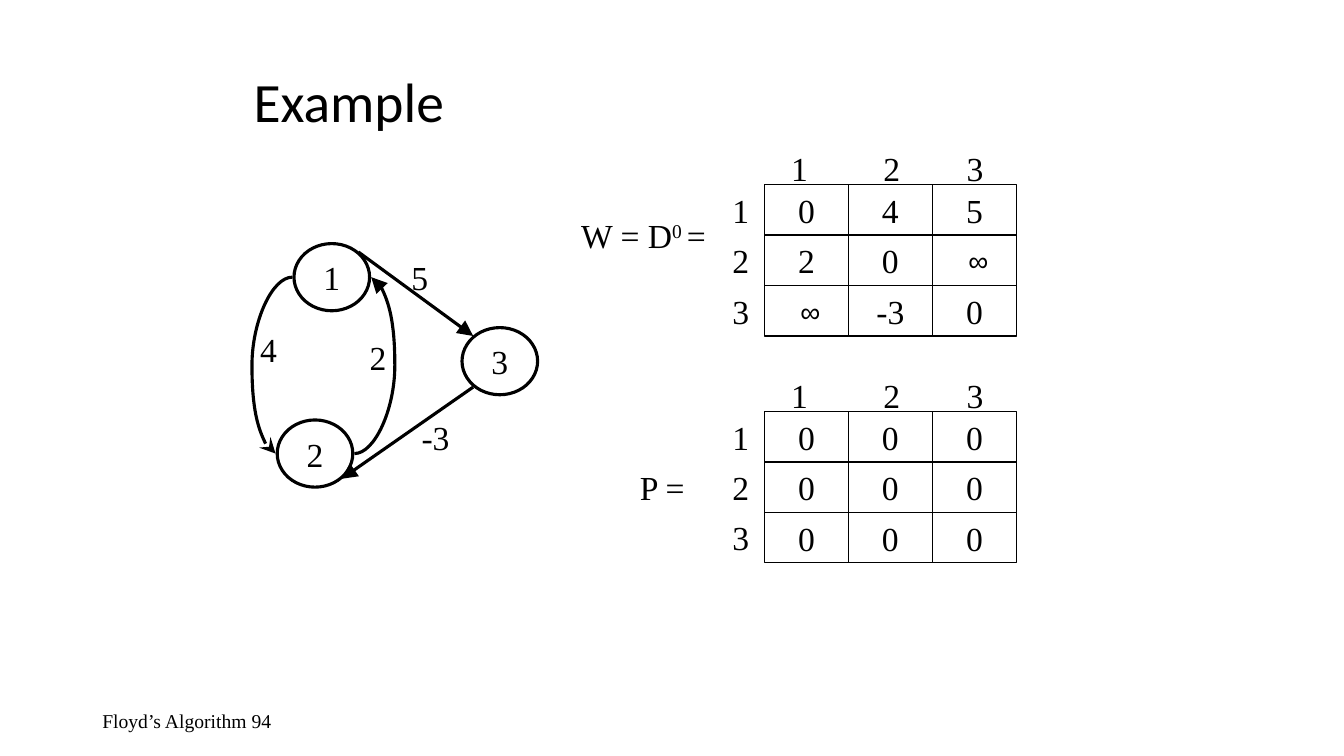
from dataclasses import dataclass

from lxml import etree
from pptx import Presentation
from pptx.dml.color import RGBColor
from pptx.enum.shapes import MSO_CONNECTOR, MSO_SHAPE
from pptx.enum.text import MSO_ANCHOR, MSO_AUTO_SIZE, PP_ALIGN
from pptx.oxml.ns import qn
from pptx.util import Pt

STRAIGHT, CURVE = MSO_CONNECTOR.STRAIGHT, MSO_CONNECTOR.CURVE
OVAL, RECTANGLE = MSO_SHAPE.OVAL, MSO_SHAPE.RECTANGLE
TOP, MIDDLE = MSO_ANCHOR.TOP, MSO_ANCHOR.MIDDLE
LEFT, CENTER = PP_ALIGN.LEFT, PP_ALIGN.CENTER
FIT_SHAPE, NO_FIT = MSO_AUTO_SIZE.SHAPE_TO_FIT_TEXT, MSO_AUTO_SIZE.NONE
BLACK = "000000"
SERIF, SANS, HEADING = "Times New Roman", "Arial", "Calibri"
INFINITY = " ∞"
CELL_W, CELL_H = 60, 36
MATRIX_LEFT = 546
COLUMN_LABEL_OFFSETS = (12, 78, 137.4)
DIGIT_W, LABEL_H = 26.6, 36
NODE_W, NODE_H = 54, 48


@dataclass
class Label:
    text: str
    left: float
    top: float
    width: float = DIGIT_W


@dataclass
class Matrix:
    top: float
    rows: list[list[str]]


@dataclass
class Node:
    text: str
    left: float
    top: float


@dataclass
class Edge:
    start: tuple[float, float]
    end: tuple[float, float]
    arrow_end: str = "tailEnd"
    arrow: str = "triangle"
    bend: int | None = None


def rgb(value: str) -> RGBColor:
    return RGBColor.from_string(value)


def set_attrs(target, values: dict) -> None:
    for name, value in values.items():
        setattr(target, name, value)


def write(p, text: str, size: float = 24, font: str = SERIF, align=LEFT):
    p.alignment = align
    r = p.add_run()
    r.text = text
    set_attrs(r.font, {"name": font, "size": Pt(size), "bold": False})
    r.font.color.rgb = rgb(BLACK)
    return r


def add_label(s, label: Label):
    sp = s.shapes.add_textbox(Pt(label.left), Pt(label.top), Pt(label.width), Pt(LABEL_H))
    set_attrs(sp.text_frame, {"word_wrap": False, "auto_size": FIT_SHAPE,
                              "vertical_anchor": TOP})
    write(sp.text_frame.paragraphs[0], label.text)
    return sp


def add_box(s, kind, text: str, left: float, top: float, width: float, height: float,
            line_width: float) -> None:
    sp = s.shapes.add_shape(kind, Pt(left), Pt(top), Pt(width), Pt(height))
    sp.shadow.inherit = False
    sp.fill.background()
    sp.line.color.rgb = rgb(BLACK)
    sp.line.width = Pt(line_width)
    set_attrs(sp.text_frame, {"word_wrap": False, "vertical_anchor": MIDDLE})
    size, font = (20, SANS) if text == INFINITY else (24, SERIF)
    write(sp.text_frame.paragraphs[0], text, size, font, CENTER)


def add_matrix(s, matrix: Matrix) -> None:
    for i, values in enumerate(matrix.rows):
        row_top = matrix.top + i * CELL_H
        for j, value in enumerate(values):
            add_box(s, RECTANGLE, value, MATRIX_LEFT + j * CELL_W, row_top,
                    CELL_W, CELL_H, 1)
        add_label(s, Label(str(i + 1), MATRIX_LEFT - 30, row_top))
    for j, offset in enumerate(COLUMN_LABEL_OFFSETS):
        add_label(s, Label(str(j + 1), MATRIX_LEFT + offset, matrix.top - 30))


def add_edge(s, edge: Edge) -> None:
    kind = STRAIGHT if edge.bend is None else CURVE
    points = [Pt(v) for v in (*edge.start, *edge.end)]
    line = s.shapes.add_connector(kind, *points)
    line.line.color.rgb = rgb(BLACK)
    line.line.width = Pt(2.25)
    sp_pr = line.element.spPr
    etree.SubElement(sp_pr.find(qn("a:ln")), qn(f"a:{edge.arrow_end}"),
                     type=edge.arrow, w="lg", len="lg")
    etree.SubElement(sp_pr, qn("a:effectLst"))
    if edge.bend is not None:
        guides = sp_pr.find(qn("a:prstGeom")).get_or_add_avLst()
        etree.SubElement(guides, qn("a:gd"), name="adj1", fmla=f"val {edge.bend}")


def add_title(s, text: str) -> None:
    title = s.shapes.title
    set_attrs(title, {"left": Pt(174), "top": Pt(48), "width": Pt(612), "height": Pt(54)})
    set_attrs(title.text_frame, {"vertical_anchor": MIDDLE, "auto_size": NO_FIT,
                                 "word_wrap": True})
    p = title.text_frame.paragraphs[0]
    p.line_spacing = 0.9
    write(p, text, 39.6, HEADING)


def add_footer(s, text: str) -> None:
    sp = s.shapes.add_textbox(Pt(66), Pt(500.4), Pt(216), Pt(28.8))
    set_attrs(sp.text_frame, {"word_wrap": True, "vertical_anchor": MIDDLE})
    write(sp.text_frame.paragraphs[0], text, 14)


MATRICES = [
    Matrix(132, [["0", "4", "5"], ["2", "0", INFINITY], [INFINITY, "-3", "0"]]),
    Matrix(294, [["0"] * 3 for _ in range(3)]),
]
NODES = [Node("1", 210, 174), Node("2", 198, 300), Node("3", 330, 234)]
EDGES = [
    Edge((256, 180), (338, 240)),
    Edge((338, 276.5), (244, 342)),
    Edge((196.8, 324), (208.8, 198), "headEnd", "stealth", -140600),
    Edge((253.2, 324), (265.2, 198), bend=240600),
]
LABELS = [
    Label("P =", 450, 330, 47.5),
    Label("5", 286.8, 180),
    Label("-3", 294, 294, 34.6),
    Label("2", 257, 237.2),
    Label("4", 178.8, 231.4),
]

prs = Presentation()
prs.slide_width, prs.slide_height = Pt(960), Pt(540)
s = prs.slides.add_slide(prs.slide_layouts[5])

add_title(s, "Example")
add_footer(s, "Floyd’s Algorithm 94")
distance_label = add_label(s, Label("W = D", 408, 150, 106))
p = distance_label.text_frame.paragraphs[0]
write(p, "0 ").font._element.set("baseline", "30000")
write(p, "=")

for matrix in MATRICES:
    add_matrix(s, matrix)
for node in NODES:
    add_box(s, OVAL, node.text, node.left, node.top, NODE_W, NODE_H, 2.25)
for edge in EDGES:
    add_edge(s, edge)
for label in LABELS:
    add_label(s, label)

prs.save("out.pptx")
